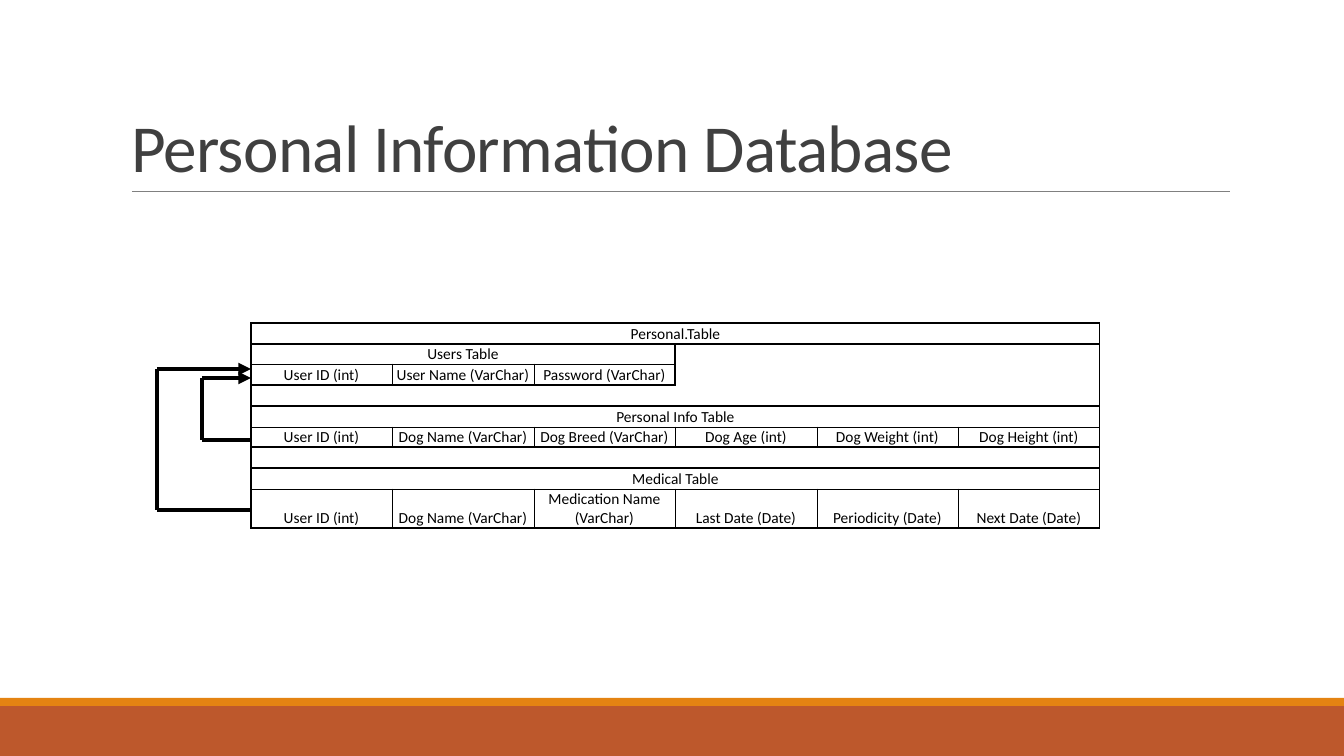
import pptx
import pptx.util
import pptx.dml.color
import pptx.enum.shapes
import pptx.enum.text
import pptx.oxml
import pptx.oxml.ns
import lxml.etree

THEME = {
    "font": "Calibri",
    "title_size": 48, "cell_size": 11,
    "title": "404040", "ink": "000000", "rule": "808080",
    "footer": "BD582C", "stripe": "E48312",
    "outer": 1, "inner": 0.5, "arrow": 3, "thin": 0.5,
}
PX = 914400 / 100.8  # EMU in one px
NO_GRID_STYLE = "{2D5ABB26-0587-4C30-8999-92F81FD0307C}"
qn = pptx.oxml.ns.qn
rgb = pptx.dml.color.RGBColor.from_string
MSO_SHAPE = pptx.enum.shapes.MSO_SHAPE
ALIGN = pptx.enum.text.PP_ALIGN
ANCHOR = pptx.enum.text.MSO_ANCHOR


def write(frame, text, size, color, align=ALIGN.LEFT, line_spacing=None, tracking=None):
    para = frame.paragraphs[0]
    para.alignment = align
    para.line_spacing = line_spacing
    span = para.add_run()
    span.text = text
    span.font.name = THEME["font"]
    span.font.size = pptx.util.Pt(size)
    span.font.color.rgb = rgb(color)
    if tracking is not None:
        span.font._element.set("spc", str(tracking))


def draw_line(page, start, end, color, width, arrow=False):
    ends = [round(value * PX) for value in (*start, *end)]
    line = page.shapes.add_connector(pptx.enum.shapes.MSO_CONNECTOR.STRAIGHT, *ends)
    line.line.color.rgb = rgb(color)
    line.line.width = pptx.util.Pt(width)
    if arrow:
        lxml.etree.SubElement(line.line._get_or_add_ln(), qn("a:tailEnd"), type="triangle")
    lxml.etree.SubElement(line._element.spPr, qn("a:effectLst"))


deck = pptx.Presentation()
deck.slide_width, deck.slide_height = round(1344 * PX), round(756 * PX)
page = deck.slides.add_slide(deck.slide_layouts[5])

# Footer bars and the rule under the title
for top, height, color in ((706, 50, "footer"), (698, 8, "stripe")):
    bar = page.shapes.add_shape(MSO_SHAPE.RECTANGLE, 0, round(top * PX),
                                deck.slide_width, round(height * PX))
    bar.shadow.inherit = False
    bar.fill.solid()
    bar.fill.fore_color.rgb = rgb(THEME[color])
    bar.line.fill.background()
draw_line(page, (132, 191), (1230, 191), THEME["rule"], THEME["thin"])

# Title
title = page.shapes.title
title.left, title.top, title.width, title.height = (
    round(value * PX) for value in (121, 31, 1109, 160))
title.text_frame.auto_size = pptx.enum.text.MSO_AUTO_SIZE.NONE
title.text_frame.vertical_anchor = ANCHOR.BOTTOM
write(title.text_frame, "Personal Information Database", THEME["title_size"],
      THEME["title"], line_spacing=0.85, tracking=-50)

# Database table: each block is a heading row above a row of fields
LEFT, TOP, WIDTH, COLUMNS = 251, 323, 849, 6
ROW_HEIGHTS = [21, 20, 21, 21, 21, 20, 21, 21, 39]
BLOCKS = [
    (1, "Users Table",
     ["User ID (int)", "User Name (VarChar)", "Password (VarChar)"]),
    (4, "Personal Info Table",
     ["User ID (int)", "Dog Name (VarChar)", "Dog Breed (VarChar)",
      "Dog Age (int)", "Dog Weight (int)", "Dog Height (int)"]),
    (7, "Medical Table",
     ["User ID (int)", "Dog Name (VarChar)", "Medication Name (VarChar)",
      "Last Date (Date)", "Periodicity (Date)", "Next Date (Date)"]),
]
holder = page.shapes.add_table(
    len(ROW_HEIGHTS), COLUMNS, round(LEFT * PX), round(TOP * PX),
    round(WIDTH * PX), round(sum(ROW_HEIGHTS) * PX))
table = holder.table
table.first_row = table.horz_banding = False
table._tbl.tblPr.find(qn("a:tableStyleId")).text = NO_GRID_STYLE
for index, column in enumerate(table.columns):
    column.width = round(((index + 1) * WIDTH // COLUMNS - index * WIDTH // COLUMNS) * PX)
for row, height in zip(table.rows, ROW_HEIGHTS):
    row.height = round(height * PX)

# Wording, heading spans and border weights
texts = {(0, 0): "Personal.Table"}
borders = {(row, col): {} for row in range(len(ROW_HEIGHTS)) for col in range(COLUMNS)}
for (row, col), sides in borders.items():
    if col == 0:
        sides["L"] = THEME["outer"]
    if col == COLUMNS - 1:
        sides["R"] = THEME["outer"]
    if row == 0:
        sides["T"] = THEME["outer"]
table.cell(0, 0).merge(table.cell(0, COLUMNS - 1))
borders[0, 0]["R"] = THEME["outer"]
for top, heading, fields in BLOCKS:
    last = len(fields) - 1
    table.cell(top, 0).merge(table.cell(top, last))
    texts[top, 0] = heading
    borders[top, 0]["R"] = THEME["outer"]
    for col, field in enumerate(fields):
        texts[top + 1, col] = field
        borders[top, col].update(T=THEME["outer"], B=THEME["inner"])
        borders[top + 1, col].update(
            L=THEME["inner" if col else "outer"],
            R=THEME["outer" if col == last else "inner"],
            T=THEME["inner"], B=THEME["outer"])
    borders[top, last]["R"] = THEME["outer"]

# Cells
for (row, col), sides in borders.items():
    cell = table.cell(row, col)
    cell.margin_left = cell.margin_right = cell.margin_top = round(PX)
    cell.margin_bottom = 0
    cell.vertical_anchor = ANCHOR.BOTTOM
    if (row, col) in texts:
        write(cell.text_frame, texts[row, col], THEME["cell_size"], THEME["ink"],
              align=ALIGN.CENTER)
    else:
        lxml.etree.SubElement(cell.text_frame.paragraphs[0]._p, qn("a:endParaRPr"),
                              sz=str(THEME["cell_size"] * 100))
    for side in "LRTB":
        if side in sides:
            edge = lxml.etree.SubElement(cell._tc.get_or_add_tcPr(), qn("a:ln" + side),
                                         w=str(pptx.util.Pt(sides[side])))
            paint = lxml.etree.SubElement(edge, qn("a:solidFill"))
            lxml.etree.SubElement(paint, qn("a:srgbClr"), val=THEME["ink"])
    cell.fill.background()

# Key links from the lower blocks back to the users' ID
for start_y, turn_x, end_y in ((510, 157, 369), (440, 202, 378)):
    corners = [(LEFT, start_y), (turn_x, start_y), (turn_x, end_y), (LEFT, end_y)]
    for start, end in zip(corners, corners[1:]):
        draw_line(page, start, end, THEME["ink"], THEME["arrow"], arrow=end == corners[-1])

deck.save("out.pptx")
